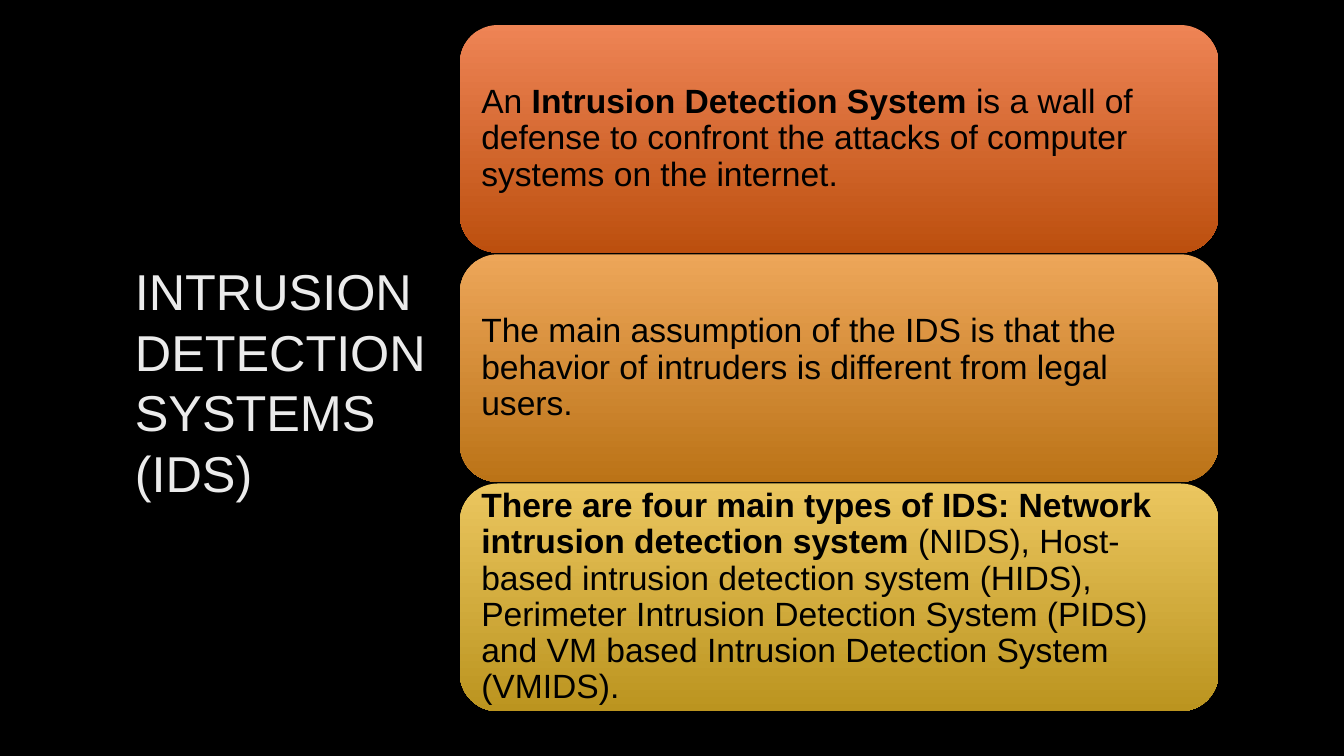
from pptx import Presentation
from pptx.dml.color import RGBColor
from pptx.enum.shapes import MSO_SHAPE
from pptx.enum.text import MSO_ANCHOR, PP_ALIGN
from pptx.oxml import parse_xml
from pptx.oxml.ns import nsdecls
from pptx.util import Cm, Pt

BLACK = RGBColor(0x00, 0x00, 0x00)
WHITE = RGBColor(0xEB, 0xEB, 0xEB)
ORANGE = RGBColor(0xEE, 0x84, 0x55), RGBColor(0xBC, 0x4F, 0x0E)
AMBER = RGBColor(0xED, 0xA6, 0x59), RGBColor(0xBB, 0x73, 0x17)
GOLD = RGBColor(0xEB, 0xC6, 0x5F), RGBColor(0xBB, 0x94, 0x1F)
FONT = "Arial"

# Each card: gradient colours, then runs of (text, bold)
CARDS = [
    (ORANGE, [
        ("An ", False),
        ("Intrusion Detection System ", True),
        ("is a wall of defense to confront the attacks of computer "
         "systems on the internet.", False)]),
    (AMBER, [
        ("The main assumption of the IDS is that the behavior of "
         "intruders is different from legal users.", False)]),
    (GOLD, [
        ("There are four main types of IDS: Network intrusion "
         "detection system", True),
        (" (NIDS), Host-based intrusion detection system (HIDS), "
         "Perimeter Intrusion Detection System (PIDS) and VM based "
         "Intrusion Detection System (VMIDS).", False)]),
]


def add_runs(para, runs, size, color):
    para.alignment = PP_ALIGN.LEFT
    for text, bold in runs:
        run = para.add_run()
        run.text = text
        font = run.font
        font.name, font.size, font.bold = FONT, Pt(size), bold
        font.color.rgb = color


def add_shade(shape):
    # Soft shadow just below the shape
    shape._element.spPr.append(parse_xml(
        f'<a:effectLst {nsdecls("a")}>'
        '<a:outerShdw blurRad="38100" dist="25400" dir="5400000" '
        'rotWithShape="0"><a:srgbClr val="000000"><a:alpha val="45000"/>'
        '</a:srgbClr></a:outerShdw></a:effectLst>'))


def add_title(slide, left, top, width, height):
    box = slide.shapes.add_textbox(left, top, width, height)
    frame = box.text_frame
    frame.word_wrap = True
    frame.margin_left = frame.margin_right = Cm(0.25)
    frame.margin_top = Cm(0.13)
    add_runs(frame.paragraphs[0],
             [("INTRUSION DETECTION SYSTEMS (IDS)", False)], 36, WHITE)


def add_card(slide, left, top, width, height, colors, runs):
    # Rounded panel
    card = slide.shapes.add_shape(
        MSO_SHAPE.ROUNDED_RECTANGLE, left, top, width, height)
    card.line.fill.background()
    card.fill.gradient()
    card.fill.gradient_angle = 270
    for stop, color, place in zip(card.fill.gradient_stops, colors, (0, 1)):
        stop.color.rgb = color
        stop.position = place
    add_shade(card)

    # Text inset from the panel edge
    pad = Cm(0.29)
    box = slide.shapes.add_textbox(
        left + pad, top + pad, width - 2 * pad, height - 2 * pad)
    frame = box.text_frame
    frame.word_wrap = True
    frame.vertical_anchor = MSO_ANCHOR.MIDDLE
    frame.margin_left = frame.margin_right = Cm(0.25)
    frame.margin_top = frame.margin_bottom = Cm(0)
    para = frame.paragraphs[0]
    para.line_spacing = 0.9
    add_runs(para, runs, 24, BLACK)


def add_stack(slide, left, top, width, height, gap):
    each = (height - gap * (len(CARDS) - 1)) // len(CARDS)
    for i, (colors, runs) in enumerate(CARDS):
        add_card(slide, left, top + i * (each + gap), width, each,
                 colors, runs)


def main():
    deck = Presentation()
    deck.slide_width, deck.slide_height = Cm(33.87), Cm(19.05)
    slide = deck.slides.add_slide(deck.slide_layouts[6])
    slide.background.fill.solid()
    slide.background.fill.fore_color.rgb = BLACK
    add_title(slide, Cm(3.15), Cm(6.43), Cm(8.43), Cm(7.42))
    add_stack(slide, Cm(11.59), Cm(0.63), Cm(19.12), Cm(17.29), Cm(0.04))
    deck.save("out.pptx")


if __name__ == "__main__":
    main()
